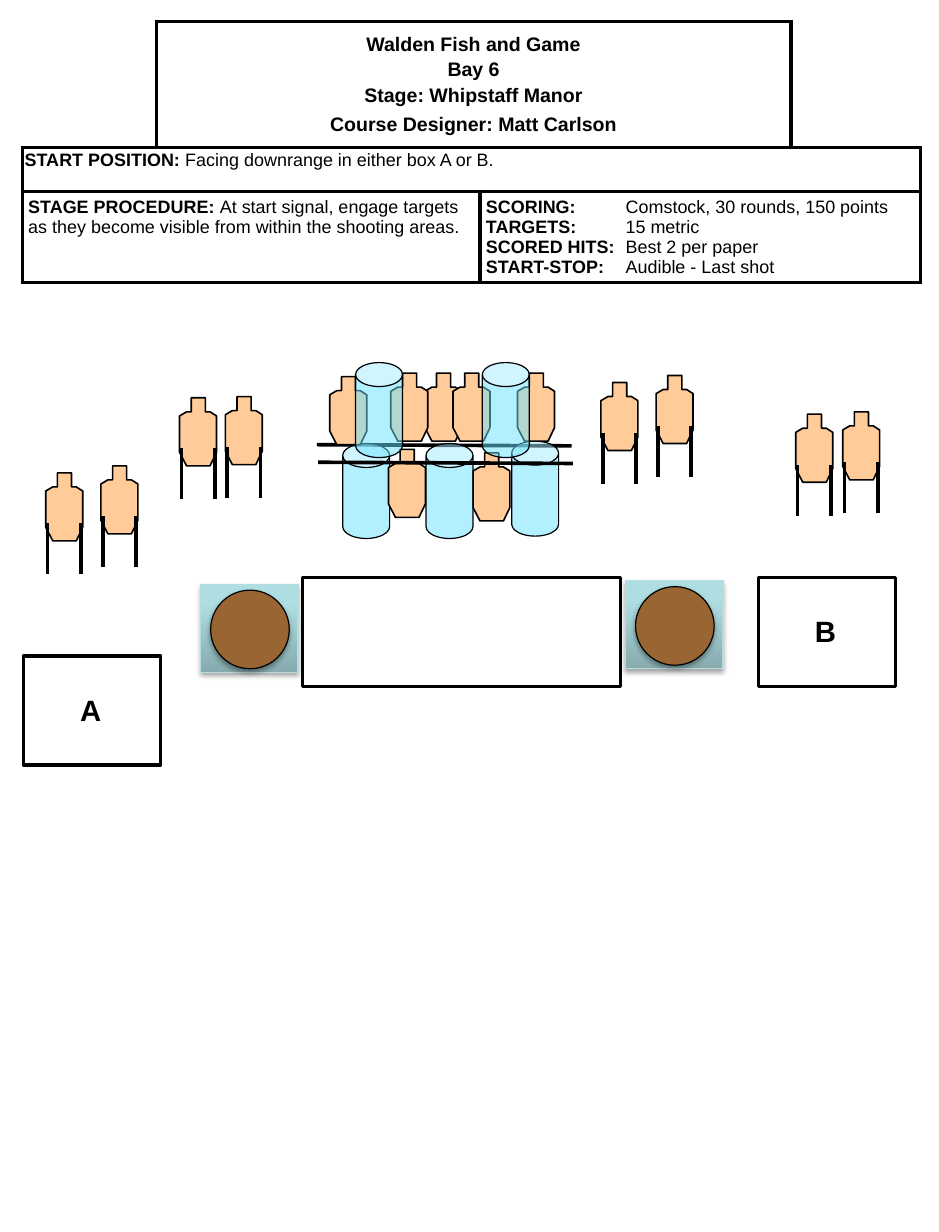
from lxml import etree
from pptx import Presentation
from pptx.dml.color import RGBColor
from pptx.enum.shapes import MSO_CONNECTOR, MSO_SHAPE
from pptx.enum.text import MSO_ANCHOR, PP_ALIGN
from pptx.oxml import parse_xml
from pptx.oxml.ns import nsdecls, qn
from pptx.util import Inches, Pt

BLACK = RGBColor(0x00, 0x00, 0x00)
WHITE = RGBColor(0xFF, 0xFF, 0xFF)
CARDBOARD = RGBColor(0xFF, 0xCC, 0x99)
BARREL_BLUE = RGBColor(0x69, 0xE2, 0xFF)
BROWN = RGBColor(0x99, 0x66, 0x33)
PALE_TEAL = RGBColor(0xB6, 0xDC, 0xDF)
TEAL_STOPS = [(0, RGBColor(0x87, 0xAB, 0xAE)), (80, RGBColor(0xAF, 0xDE, 0xE2)),
              (100, RGBColor(0xAF, 0xE0, 0xE4))]

# Target outline, in grid cells from its top left corner
OUTLINE = [(1, 0), (2.2, 0), (2.2, 1.2), (2.6, 1.2), (3.15, 1.55), (3.15, 4.65),
           (2.6, 5.8), (0.6, 5.8), (0, 4.65), (0, 1.55), (0.6, 1.2), (1, 1.2)]


def grid(cells):
    """The slide is a grid of 80 columns and 105 rows, 0.1 inch each."""
    return Inches(cells / 10)


class StageSheet:
    font = "Arial"

    def __init__(self, slide):
        self.slide = slide
        self.shapes = slide.shapes

    def fill_text(self, paragraph, runs, size, before=0):
        """Add (text, bold) runs; bold is set per run only where it varies."""
        paragraph.space_before = Pt(before)
        font = paragraph.font
        font.name, font.size, font.color.rgb = self.font, Pt(size), BLACK
        if len(runs) == 1:
            font.bold = runs[0][1]
        for text, bold in runs:
            run = paragraph.add_run()
            run.text = text
            if len(runs) > 1:
                run.font.bold = bold

    def outline(self, shape, weight, color=BLACK):
        shape.shadow.inherit = False
        shape.line.color.rgb = color
        shape.line.width = Pt(weight)

    def preset(self, kind, x, y, width, height, weight, fill=None, color=BLACK):
        shape = self.shapes.add_shape(kind, grid(x), grid(y), grid(width), grid(height))
        self.outline(shape, weight, color)
        if fill is None:
            shape.fill.background()
        else:
            shape.fill.solid()
            shape.fill.fore_color.rgb = fill
        return shape

    def bar(self, x1, y1, x2, y2, shapes=None):
        line = (shapes or self.shapes).add_connector(
            MSO_CONNECTOR.STRAIGHT, grid(x1), grid(y1), grid(x2), grid(y2))
        line.line.color.rgb = BLACK
        line.line.width = Pt(2.25)
        etree.SubElement(line._element.spPr, qn("a:effectLst"))

    def target(self, x, y, stand=False):
        shapes = self.shapes.add_group_shape().shapes if stand else self.shapes
        if stand:
            for leg in (x + 0.15, x + 3):
                self.bar(leg, y + 4.3, leg, y + 8.65, shapes)
        points = [(grid(x + dx), grid(y + dy)) for dx, dy in OUTLINE]
        builder = shapes.build_freeform(*points[0])
        builder.add_line_segments(points[1:], close=True)
        body = builder.convert_to_shape()
        self.outline(body, 1)
        body.fill.solid()
        body.fill.fore_color.rgb = CARDBOARD

    def barrel(self, x, y):
        can = self.preset(MSO_SHAPE.CAN, x, y, 4, 8.1, 0.75, BARREL_BLUE)
        can.adjustments[0] = 0.51
        color = can._element.spPr.find(qn("a:solidFill"))[0]
        etree.SubElement(color, qn("a:alpha"), val="50000")

    def soften(self, shape):
        effects = shape._element.spPr.find(qn("a:effectLst"))
        effects.append(parse_xml(
            f'<a:outerShdw {nsdecls("a")} blurRad="{Pt(3.1)}" dist="{Pt(1.8)}" dir="5400000" '
            'rotWithShape="0"><a:srgbClr val="000000"><a:alpha val="35000"/></a:srgbClr>'
            '</a:outerShdw>'))

    def table_top(self, x, y):
        """A round top on a shaded square."""
        base = self.preset(MSO_SHAPE.RECTANGLE, x, y, 8.3, 7.5, 0.75, WHITE, PALE_TEAL)
        stops = "".join(f'<a:gs pos="{share * 1000}"><a:srgbClr val="{color}"/></a:gs>'
                        for share, color in TEAL_STOPS)
        properties = base._element.spPr
        properties.replace(properties.find(qn("a:solidFill")), parse_xml(
            f'<a:gradFill {nsdecls("a")} rotWithShape="1"><a:gsLst>{stops}</a:gsLst>'
            '<a:lin ang="16200000" scaled="0"/></a:gradFill>'))
        self.soften(base)
        self.soften(self.preset(MSO_SHAPE.OVAL, x + 0.85, y + 0.5, 6.7, 6.7, 0.75, BROWN))

    def box(self, x, y, width):
        self.preset(MSO_SHAPE.RECTANGLE, x, y, width, 9.3, 2)

    def letter(self, text, x, y):
        label = self.shapes.add_textbox(grid(x), grid(y), grid(3.9), grid(4))
        label.text_frame.word_wrap = True
        self.fill_text(label.text_frame.paragraphs[0], [(text, True)], 18)

    def borders(self, cell, sides):
        properties = cell._tc.get_or_add_tcPr()
        for side in "LRTB":
            paint = ('<a:solidFill><a:srgbClr val="000000"/></a:solidFill>'
                     if side in sides else '<a:noFill/>')
            properties.append(parse_xml(
                f'<a:ln{side} {nsdecls("a")} w="{Pt(2.25)}">{paint}</a:ln{side}>'))

    def briefing(self, x, y, columns, rows):
        table = self.shapes.add_table(len(rows), len(columns), grid(x), grid(y),
                                      grid(sum(columns)), grid(sum(rows))).table
        table.first_row = table.horz_banding = False
        for column, width in zip(table.columns, columns):
            column.width = grid(width)
        for row, height in zip(table.rows, rows):
            row.height = grid(height)
        corners = {(0, 0): "RB", (0, len(columns) - 1): "LB"}
        for r in range(len(rows)):
            for c in range(len(columns)):
                cell = table.cell(r, c)
                self.borders(cell, corners.get((r, c), "LRTB"))
                cell.fill.solid()
                cell.fill.fore_color.rgb = WHITE
                cell.margin_left = cell.margin_right = Inches(0.05)
                cell.margin_top = cell.margin_bottom = Inches(0.05)
        for first, last in [((0, 1), (0, 2)), ((1, 0), (1, 3)),
                            ((2, 0), (2, 1)), ((2, 2), (2, 3))]:
            table.cell(*first).merge(table.cell(*last))
        return table


def main():
    deck = Presentation()
    deck.slide_width, deck.slide_height = grid(80), grid(105)
    sheet = StageSheet(deck.slides.add_slide(deck.slide_layouts[6]))

    # Back of the centre array
    sheet.target(36.2, 31.8)
    sheet.bar(27, 37.9, 48.7, 38)
    sheet.target(40.3, 38.6)

    # Stage briefing
    table = sheet.briefing(1.9, 1.8, [11.4, 27.6, 26.5, 11], [10.8, 3.7, 6.3])
    heading = table.cell(0, 1)
    heading.vertical_anchor = MSO_ANCHOR.MIDDLE
    titles = [("Walden Fish and Game", 0), ("Bay 6", 2.4),
              ("Stage: Whipstaff Manor", 2.4), ("Course Designer: Matt Carlson", 4.2)]
    for i, (title, before) in enumerate(titles):
        line = heading.text_frame.add_paragraph() if i else heading.text_frame.paragraphs[0]
        line.alignment = PP_ALIGN.CENTER
        sheet.fill_text(line, [(title, True)], 12, before)

    start = table.cell(1, 0)
    start.margin_left = start.margin_right = Inches(0.02)
    start.margin_top = start.margin_bottom = Inches(0.04)
    position = start.text_frame.paragraphs[0]
    position.line_spacing = 0.9
    sheet.fill_text(position, [("START POSITION:", True),
                               (" Facing downrange in either box A or B.", False)], 11)
    sheet.fill_text(table.cell(2, 0).text_frame.paragraphs[0],
                    [("STAGE PROCEDURE: ", True),
                     ("At start signal, engage targets as they become visible "
                      "from within the shooting areas.", False)], 11)

    scoring = table.cell(2, 2).text_frame
    rules = [("SCORING:", "Comstock, 30 rounds, 150 points"), ("TARGETS:", "15 metric"),
             ("SCORED HITS:", "Best 2 per paper"), ("START-STOP:", "Audible - Last shot")]
    for i, (rule, value) in enumerate(rules):
        line = scoring.add_paragraph() if i else scoring.paragraphs[0]
        tabs = etree.SubElement(line._p.get_or_add_pPr(), qn("a:tabLst"))
        etree.SubElement(tabs, qn("a:tab"), pos=str(Inches(1.19)), algn="l")
        sheet.fill_text(line, [(rule + "\t", True), (value, False)], 11)

    # Round tables beside the middle shooting area
    sheet.table_top(17.1, 49.8)
    sheet.table_top(53.3, 49.5)

    # Centre array
    sheet.barrel(29.2, 37.8)
    sheet.barrel(36.3, 37.8)
    sheet.target(33.1, 38.3)
    sheet.barrel(43.6, 37.6)
    for x, y in [(38.6, 31.8), (28.1, 32.1), (44.1, 31.8)]:
        sheet.target(x, y)

    # Targets on stands
    for x, y in [(55.9, 32), (51.2, 32.6), (67.8, 35.3), (8.6, 39.7),
                 (3.9, 40.3), (15.3, 33.9), (19.2, 33.8), (71.8, 35.1)]:
        sheet.target(x, y, stand=True)

    # Front of the centre array
    sheet.bar(27.1, 39.4, 48.8, 39.5)
    sheet.target(33.3, 31.8)
    for x in (30.3, 41.1):
        sheet.barrel(x, 30.9)

    # Shooting areas
    sheet.box(25.8, 49.2, 27.1)
    for name, x, y in [("A", 2, 55.9), ("B", 64.6, 49.2)]:
        sheet.box(x, y, 11.7)
        sheet.letter(name, x + 3.85, y + 2.6)

    deck.save("out.pptx")


if __name__ == "__main__":
    main()
